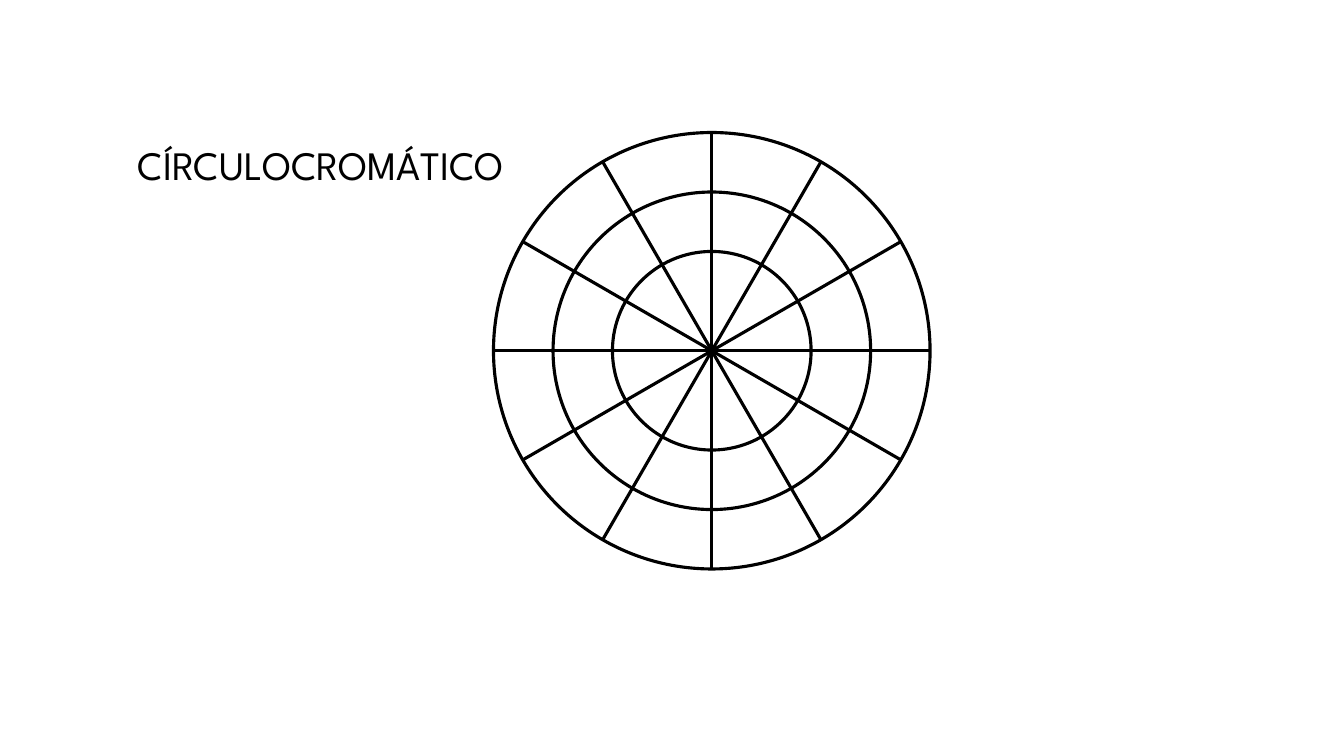
from dataclasses import dataclass
from math import cos, radians, sin

from pptx import Presentation
from pptx.dml.color import RGBColor
from pptx.enum.shapes import MSO_CONNECTOR, MSO_SHAPE
from pptx.enum.text import MSO_ANCHOR, MSO_AUTO_SIZE, PP_ALIGN
from pptx.oxml.ns import qn
from pptx.util import Inches, Pt


@dataclass(frozen=True)
class Theme:
    """Colours, font and sizes of the slide."""
    ink: RGBColor = RGBColor(0, 0, 0)
    paper: RGBColor = RGBColor(255, 255, 255)
    font: str = "League Spartan"
    title_size: float = 28.8
    line_width: float = 2.25


THEME = Theme()
TITLE = "CÍRCULOCROMÁTICO"
TITLE_BOX = {"left": 0.49, "top": 1.39, "width": 4.61, "height": 0.86}
CENTER_X, CENTER_Y = 7.06, 3.48
RING_DIAMETERS = (4.33, 3.15, 1.97)
SECTORS = 12


def set_attributes(target, values):
    """Set each named attribute on the target."""
    for name, value in values.items():
        setattr(target, name, value)


def style_line(line):
    """Apply the wheel's stroke."""
    line.color.rgb = THEME.ink
    line.width = Pt(THEME.line_width)


def add_title(slide):
    """Place and format the title placeholder."""
    title = slide.shapes.title
    set_attributes(title, {name: Inches(value) for name, value in TITLE_BOX.items()})
    title.text = TITLE
    set_attributes(title.text_frame, {
        "word_wrap": True, "auto_size": MSO_AUTO_SIZE.NONE,
        "vertical_anchor": MSO_ANCHOR.TOP})
    paragraph = title.text_frame.paragraphs[0]
    set_attributes(paragraph, {"alignment": PP_ALIGN.RIGHT, "line_spacing": 0.9})
    font = paragraph.runs[0].font
    set_attributes(font, {"name": THEME.font, "size": Pt(THEME.title_size)})
    font.color.rgb = THEME.ink


def add_ring(slide, diameter):
    """Draw one unfilled ring around the wheel's center."""
    ring = slide.shapes.add_shape(
        MSO_SHAPE.OVAL, Inches(CENTER_X - diameter / 2),
        Inches(CENTER_Y - diameter / 2), Inches(diameter), Inches(diameter))
    ring.shadow.inherit = False
    ring.fill.background()
    style_line(ring.line)


def add_spoke(slide, angle):
    """Draw one full diameter of the outer ring at an angle in degrees."""
    radius = max(RING_DIAMETERS) / 2
    dx, dy = radius * cos(radians(angle)), radius * sin(radians(angle))
    spoke = slide.shapes.add_connector(
        MSO_CONNECTOR.STRAIGHT, Inches(CENTER_X - dx), Inches(CENTER_Y - dy),
        Inches(CENTER_X + dx), Inches(CENTER_Y + dy))
    style_line(spoke.line)
    properties = spoke.element.spPr
    properties.append(properties.makeelement(qn("a:effectLst"), {}))


def main():
    """Build and save the colour wheel slide."""
    presentation = Presentation()
    set_attributes(presentation, {
        "slide_width": Inches(13.33), "slide_height": Inches(7.5)})
    slide = presentation.slides.add_slide(presentation.slide_layouts[5])
    slide.background.fill.solid()
    slide.background.fill.fore_color.rgb = THEME.paper
    add_title(slide)
    for diameter in RING_DIAMETERS:
        add_ring(slide, diameter)
    for index in range(SECTORS // 2):
        add_spoke(slide, index * 360 / SECTORS)
    presentation.save("out.pptx")


main()
